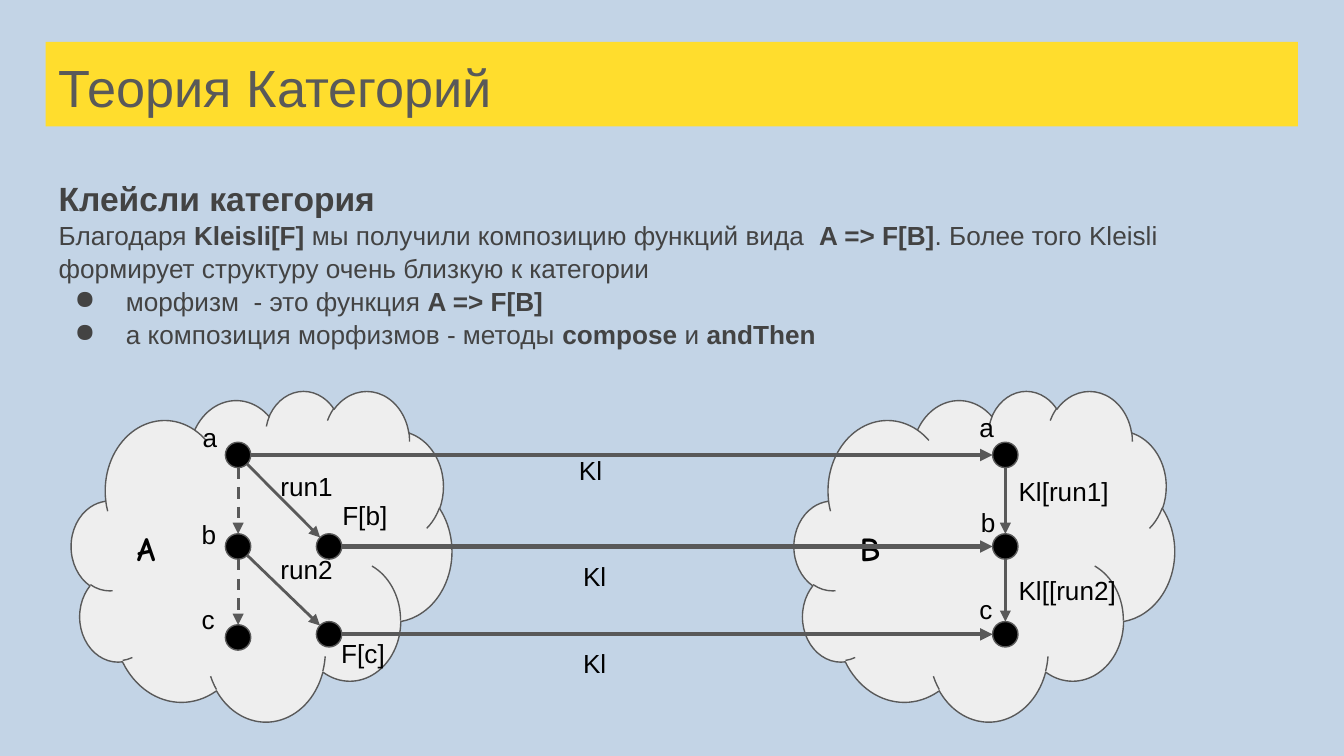
"""Build a slide explaining the Kleisli category with two mapped clouds."""
import dataclasses
import math
import typing

import lxml.etree
import pptx
import pptx.dml.color
import pptx.enum.dml
import pptx.enum.shapes
import pptx.enum.text
import pptx.oxml.ns
import pptx.util

Cm = pptx.util.Cm
RGBColor = pptx.dml.color.RGBColor
Anchor = pptx.enum.text.MSO_ANCHOR
Shape = pptx.enum.shapes.MSO_SHAPE

SKY = RGBColor(0xC3, 0xD4, 0xE6)
YELLOW = RGBColor(0xFF, 0xDD, 0x2D)
GRAY = RGBColor(0x59, 0x59, 0x59)
DARK_GRAY = RGBColor(0x43, 0x43, 0x43)
LIGHT_GRAY = RGBColor(0xEE, 0xEE, 0xEE)
BLACK = RGBColor(0, 0, 0)

INSET = 0.25
THIN, MEDIUM, THICK = 0.75, 1.5, 2.25
NODE_RADIUS = 0.24


class Run(typing.NamedTuple):
    text: str
    size: float = 14
    bold: bool = False
    color: RGBColor = DARK_GRAY
    font: str = "Arial"


class Node(typing.NamedTuple):
    x: float
    y: float


@dataclasses.dataclass(frozen=True)
class Cloud:
    name: str
    left: float


@dataclasses.dataclass(frozen=True)
class Arrow:
    start: Node
    end: Node
    width: float = MEDIUM
    dashed: bool = False


@dataclasses.dataclass(frozen=True)
class Label:
    text: str
    left: float
    top: float
    width: float = 0.69
    height: float = 1.14
    anchor: Anchor = Anchor.TOP


LEFT_A, LEFT_B, LEFT_C = Node(4.5, 8.6), Node(4.5, 10.33), Node(4.5, 12.05)
RESULT_B, RESULT_C = Node(6.22, 10.33), Node(6.22, 11.99)
RIGHT_A, RIGHT_B, RIGHT_C = Node(19, 8.6), Node(19, 10.33), Node(19, 11.99)
NODES = [LEFT_A, LEFT_B, LEFT_C, RESULT_B, RESULT_C, RIGHT_A, RIGHT_B, RIGHT_C]

CLOUDS = [Cloud("A", 1.35), Cloud("B", 15.01)]

ARROWS = [
    Arrow(LEFT_A, LEFT_B, dashed=True),
    Arrow(LEFT_B, LEFT_C, dashed=True),
    Arrow(LEFT_A, RESULT_B),
    Arrow(LEFT_B, RESULT_C),
    Arrow(RIGHT_A, RIGHT_B),
    Arrow(RIGHT_B, RIGHT_C),
    Arrow(LEFT_A, RIGHT_A, THICK),
    Arrow(RESULT_B, RIGHT_B, THICK),
    Arrow(RESULT_C, RIGHT_C, THICK),
]

LABELS = [
    Label("a", 3.58, 7.72),
    Label("b", 3.56, 9.55),
    Label("c", 3.56, 11.15),
    Label("run1", 5.05, 8.64, 1.68),
    Label("run2", 5.05, 10.21, 1.68),
    Label("F[b]", 6.22, 9.19, 1.42),
    Label("F[c]", 6.2, 11.79, 1.42),
    Label("Kl", 10.69, 7.98, 1.24, 1.8, Anchor.MIDDLE),
    Label("Kl", 10.77, 9.98, 1.24, 1.8, Anchor.MIDDLE),
    Label("Kl", 10.77, 11.63, 1.24, 1.8, Anchor.MIDDLE),
    Label("Kl[run1]", 19, 8.71, 2.41, 1.14, Anchor.MIDDLE),
    Label("Kl[[run2]", 19, 10.67, 2.41, 0.97, Anchor.MIDDLE),
    Label("a", 18.26, 7.52),
    Label("b", 18.29, 9.32),
    Label("c", 18.26, 10.97),
]

HEADING = [Run("Клейсли категория", 18, True)]
INTRODUCTION = [
    Run("Благодаря "),
    Run("Kleisli[F]", bold=True),
    Run(" мы получили композицию функций вида  "),
    Run("A => F[B]", bold=True),
    Run(". Более того Kleisli формирует структуру очень близкую к категории"),
]
BULLETS = [
    [Run("морфизм  - это функция "), Run("A => F[B]", bold=True)],
    [
        Run("а композиция морфизмов - методы "),
        Run("compose", bold=True),
        Run(" и "),
        Run("andThen", bold=True),
    ],
]


def prepare_frame(frame, anchor: Anchor = Anchor.TOP) -> None:
    frame.word_wrap = True
    frame.auto_size = pptx.enum.text.MSO_AUTO_SIZE.NONE
    frame.vertical_anchor = anchor
    frame.margin_left = frame.margin_right = Cm(INSET)
    frame.margin_top = frame.margin_bottom = Cm(INSET)


def add_runs(paragraph, runs: list[Run]) -> None:
    paragraph.alignment = pptx.enum.text.PP_ALIGN.LEFT
    for item in runs:
        run = paragraph.add_run()
        run.text = item.text
        run.font.name = item.font
        run.font.size = pptx.util.Pt(item.size)
        run.font.bold = item.bold
        run.font.color.rgb = item.color


def add_bullet(paragraph) -> None:
    properties = paragraph._p.get_or_add_pPr()
    properties.set("marL", str(Cm(1.27)))
    properties.set("indent", str(Cm(-0.97)))
    lxml.etree.SubElement(properties, pptx.oxml.ns.qn("a:buChar"), char="●")


def add_title(slide) -> None:
    title = slide.shapes.title
    title.left, title.top, title.width, title.height = map(Cm, (0.86, 0.79, 23.67, 1.6))
    title.fill.solid()
    title.fill.fore_color.rgb = YELLOW
    prepare_frame(title.text_frame)
    add_runs(title.text_frame.paragraphs[0], [Run("Теория Категорий", 28, color=GRAY)])


def add_body(slide) -> None:
    frame = slide.shapes.add_textbox(*map(Cm, (0.86, 3.07, 23.67, 10.87))).text_frame
    prepare_frame(frame)
    for index, runs in enumerate([HEADING, INTRODUCTION, *BULLETS]):
        paragraph = frame.add_paragraph() if index else frame.paragraphs[0]
        paragraph.line_spacing = 1.05
        add_runs(paragraph, runs)
        if runs in BULLETS:
            add_bullet(paragraph)


def add_outlined_shape(slide, kind: Shape, box: tuple, color: RGBColor):
    shape = slide.shapes.add_shape(kind, *map(Cm, box))
    shape.shadow.inherit = False
    shape.fill.solid()
    shape.fill.fore_color.rgb = color
    shape.line.color.rgb = GRAY
    shape.line.width = pptx.util.Pt(THIN)
    return shape


def add_cloud(slide, cloud: Cloud) -> None:
    shape = add_outlined_shape(slide, Shape.CLOUD, (cloud.left, 7.38, 7.19, 6.25), LIGHT_GRAY)
    prepare_frame(shape.text_frame, Anchor.MIDDLE)
    add_runs(shape.text_frame.paragraphs[0], [Run(cloud.name, 18, True, BLACK, "Comic Neue")])


def add_node(slide, node: Node) -> None:
    size = 2 * NODE_RADIUS
    box = (node.x - NODE_RADIUS, node.y - NODE_RADIUS, size, size)
    add_outlined_shape(slide, Shape.OVAL, box, BLACK)


def add_arrow(slide, arrow: Arrow) -> None:
    start, end = arrow.start, arrow.end
    angle = math.atan2(end.y - start.y, end.x - start.x)
    trim_x, trim_y = NODE_RADIUS * math.cos(angle), NODE_RADIUS * math.sin(angle)
    points = (start.x + trim_x, start.y + trim_y, end.x - trim_x, end.y - trim_y)
    connector = slide.shapes.add_connector(
        pptx.enum.shapes.MSO_CONNECTOR.STRAIGHT, *map(Cm, points)
    )
    connector.line.color.rgb = GRAY
    connector.line.width = pptx.util.Pt(arrow.width)
    if arrow.dashed:
        connector.line.dash_style = pptx.enum.dml.MSO_LINE.DASH
    properties = connector.element.spPr
    qualified = pptx.oxml.ns.qn
    lxml.etree.SubElement(properties.get_or_add_ln(), qualified("a:tailEnd"), type="triangle")
    lxml.etree.SubElement(properties, qualified("a:effectLst"))


def add_label(slide, label: Label) -> None:
    box = (label.left, label.top, label.width, label.height)
    frame = slide.shapes.add_textbox(*map(Cm, box)).text_frame
    prepare_frame(frame, label.anchor)
    add_runs(frame.paragraphs[0], [Run(label.text, color=BLACK)])


def main() -> None:
    presentation = pptx.Presentation()
    presentation.slide_width, presentation.slide_height = Cm(25.4), Cm(14.29)
    slide = presentation.slides.add_slide(presentation.slide_layouts[5])
    slide.background.fill.solid()
    slide.background.fill.fore_color.rgb = SKY
    add_title(slide)
    add_body(slide)
    drawings = [(add_cloud, CLOUDS), (add_arrow, ARROWS), (add_node, NODES), (add_label, LABELS)]
    for draw, items in drawings:
        for item in items:
            draw(slide, item)
    presentation.save("out.pptx")


if __name__ == "__main__":
    main()
